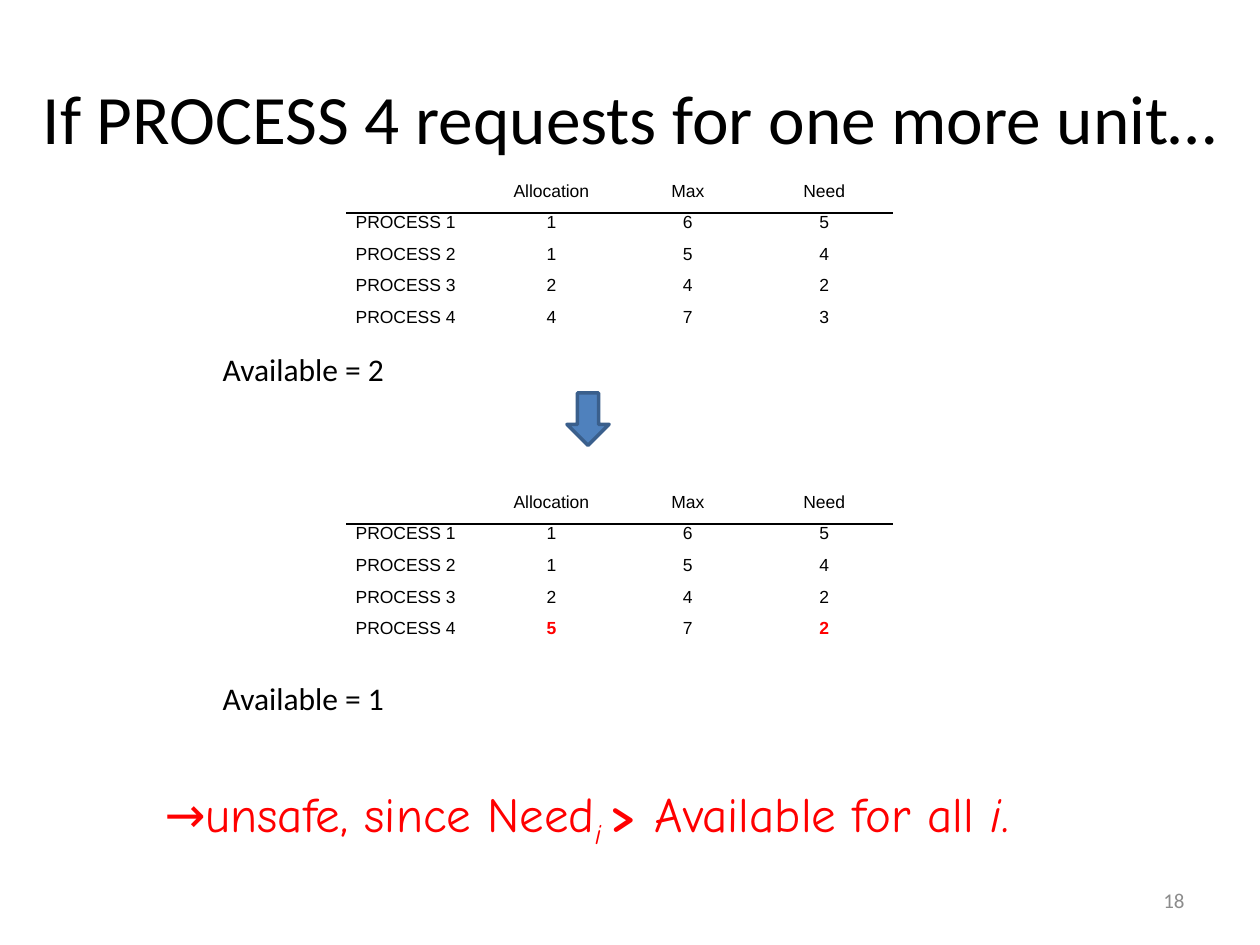
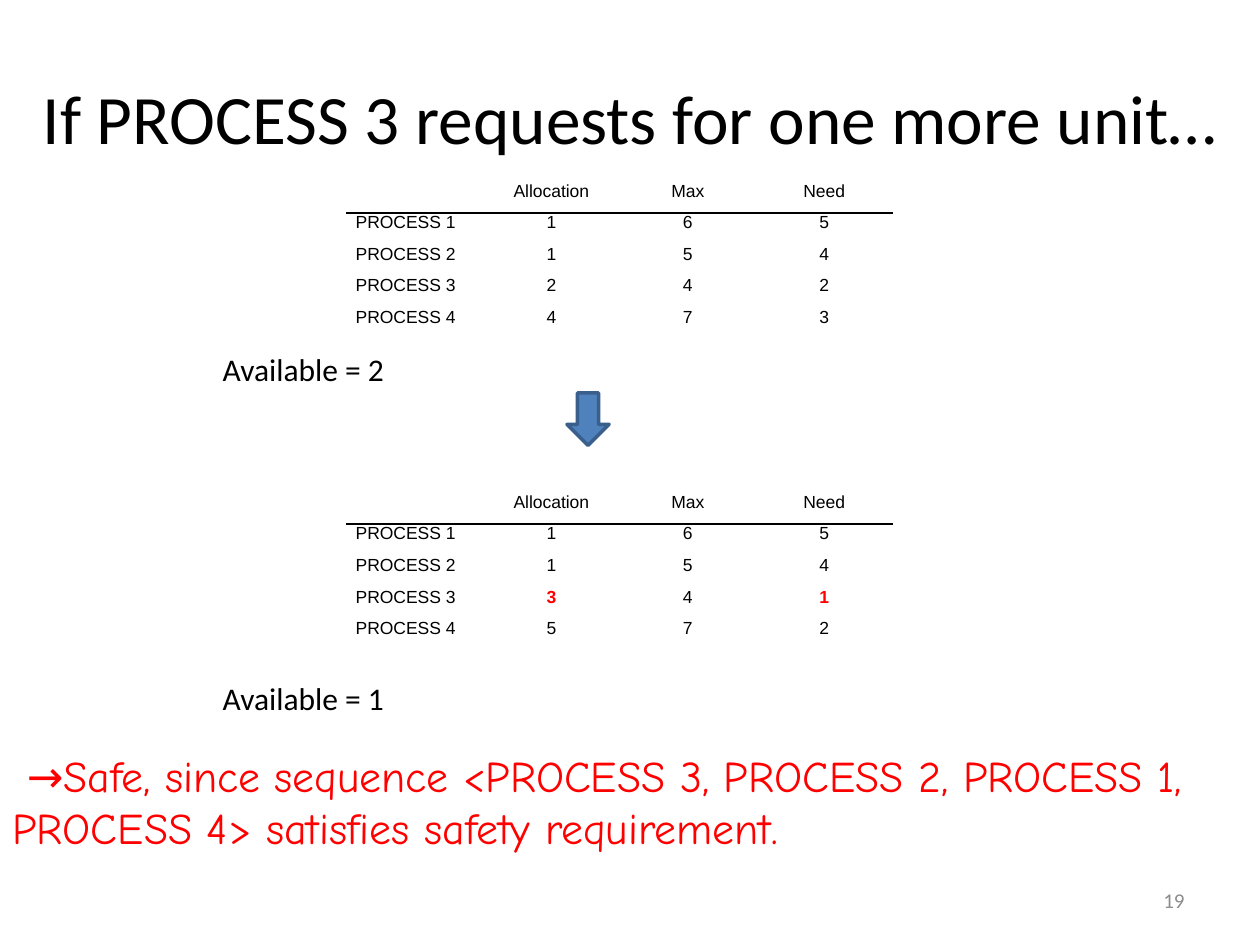
from lxml import etree
from pptx import Presentation
from pptx import util as u
from pptx.dml.color import RGBColor
from pptx.enum import shapes, text
from pptx.oxml.ns import qn

BLACK, WHITE, RED, GREY = "000000", "FFFFFF", "FF0000", "8C8C8C"
BLUE, DARK_BLUE = "4F81BD", "3A5F8C"
HEADS = ["", "Allocation", "Max", "Need"]
START = [(1, 6, 5), (1, 5, 4), (2, 4, 2), (4, 7, 3)]


def color(value):
    """Turn a hex string into a colour."""
    return RGBColor.from_string(value)


def cm(*lengths):
    """Turn numbers of centimetres into lengths."""
    return [u.Cm(n) for n in lengths]


def style(r, size, font, fill=BLACK, bold=False, italic=False):
    """Format one run."""
    r.font.size, r.font.name = u.Pt(size), font
    r.font.bold, r.font.italic = bold, italic
    r.font.color.rgb = color(fill)


def add_title(s, box, words):
    """Place the title placeholder in its box."""
    sp = s.shapes.title
    sp.left, sp.top, sp.width, sp.height = cm(*box)
    tf = sp.text_frame
    tf.text = words
    tf.auto_size = text.MSO_AUTO_SIZE.NONE
    tf.vertical_anchor = text.MSO_ANCHOR.MIDDLE
    p = tf.paragraphs[0]
    p.alignment = text.PP_ALIGN.CENTER
    style(p.runs[0], 39.6, "Calibri")


def add_text(s, box, words, size, font="Calibri", fill=BLACK, wrap=False):
    """Add a growing text box with one formatted run."""
    tf = s.shapes.add_textbox(*cm(*box)).text_frame
    tf.word_wrap = wrap
    tf.auto_size = text.MSO_AUTO_SIZE.SHAPE_TO_FIT_TEXT
    tf.text = words
    style(tf.paragraphs[0].runs[0], size, font, fill)
    return tf


def add_number(s, box, number):
    """Add the slide number at the right of its box."""
    tf = add_text(s, box, str(number), 12, fill=GREY, wrap=True)
    tf.auto_size = text.MSO_AUTO_SIZE.NONE
    tf.vertical_anchor = text.MSO_ANCHOR.MIDDLE
    tf.paragraphs[0].alignment = text.PP_ALIGN.RIGHT


def add_arrow(s, box):
    """Add the arrow between the two states."""
    sp = s.shapes.add_shape(shapes.MSO_SHAPE.DOWN_ARROW, *cm(*box))
    sp.shadow.inherit = False
    sp.fill.solid()
    sp.fill.fore_color.rgb = color(BLUE)
    sp.line.color.rgb = color(DARK_BLUE)
    sp.line.width = u.Pt(2)


def add_rule(cell, side):
    """Draw a black one-point border on one side of a cell."""
    ln = etree.Element(qn("a:" + side), w=str(u.Pt(1)))
    fill = etree.SubElement(ln, qn("a:solidFill"))
    etree.SubElement(fill, qn("a:srgbClr"), val=BLACK)
    cell._tc.get_or_add_tcPr().insert(0, ln)


def fill_cell(cell, words, centred, marked):
    """Write and format one table cell."""
    cell.fill.solid()
    cell.fill.fore_color.rgb = color(WHITE)
    cell.margin_left = cell.margin_right = u.Cm(0.18)
    cell.margin_top = cell.margin_bottom = 0
    cell.text = words
    p = cell.text_frame.paragraphs[0]
    p.alignment = text.PP_ALIGN.CENTER if centred else text.PP_ALIGN.LEFT
    pPr = p._p.get_or_add_pPr()
    pPr.set("marL", str(u.Cm(1.27)))
    pPr.set("indent", str(u.Cm(-1.27)))
    p._p.get_or_add_endParaRPr().set("sz", "1000")
    for r in p.runs:
        style(r, 10, "Arial", RED if marked else BLACK, marked)


def add_state(s, box, values, available, label_top, changed=None):
    """Add an allocation table and the available units below it."""
    left, top, width, height = box
    rows = [HEADS] + [[f"PROCESS {i}", *v] for i, v in enumerate(values, 1)]
    table = s.shapes.add_table(len(rows), len(HEADS), *cm(*box)).table
    table.first_row = table.horz_banding = False
    for i, row in enumerate(rows):
        table.rows[i].height = u.Cm(height / len(rows))
        for j, value in enumerate(row):
            cell = table.cell(i, j)
            fill_cell(cell, str(value), j > 0, i == changed and j in (1, 3))
            if i < 2:
                add_rule(cell, ("lnB", "lnT")[i])
    add_text(s, (left - 2.75, top + label_top, 3.81, 1.03), f"Available = {available}", 18)


def add_unsafe(s, box):
    """Add the verdict with its subscript index."""
    tf = add_text(s, box, " →unsafe, since Need", 28, "Comic Neue", RED)
    p = tf.paragraphs[0]
    for words, bold, italic, base in [
        ("i ", False, True, -25000),
        ("> ", True, False, 0),
        ("Available for all ", False, False, 0),
        ("i", False, True, 0),
        (". ", False, False, 0),
    ]:
        r = p.add_run()
        r.text = words
        style(r, 28, "Comic Neue", RED, bold, italic)
        if base:
            r.font._element.set("baseline", str(base))


def add_safe(s, box):
    """Add the verdict with the safe sequence."""
    words = (" →Safe, since sequence <PROCESS 3, PROCESS 2, PROCESS 1, "
             "PROCESS 4> satisfies safety requirement.")
    add_text(s, box, words, 25, "Comic Neue", RED, wrap=True)


def add_request(prs, number, process, after):
    """Build a slide showing one request for a unit."""
    s = prs.slides.add_slide(prs.slide_layouts[5])
    add_title(s, (0, 0.76, 25.4, 3.18), f"If PROCESS {process} requests for one more unit…")
    add_number(s, (18.2, 17.65, 5.93, 1.01), number)
    add_arrow(s, (11.43, 7.92, 0.85, 1.06))
    add_state(s, (6.99, 3.66, 11, 3.18), START, 2, 3.27)
    add_state(s, (6.99, 9.93, 11, 3.18), after, 1, 3.63, process)
    return s


prs = Presentation()
prs.slide_width, prs.slide_height = cm(25.4, 19.05)
s = add_request(prs, 18, 4, START[:3] + [(5, 7, 2)])
add_unsafe(s, (2.74, 15.67, 20.55, 1.45))
s = add_request(prs, 19, 3, START[:2] + [(3, 4, 1), (5, 7, 2)])
add_safe(s, (0, 14.96, 25.4, 2.39))
prs.save("out.pptx")
